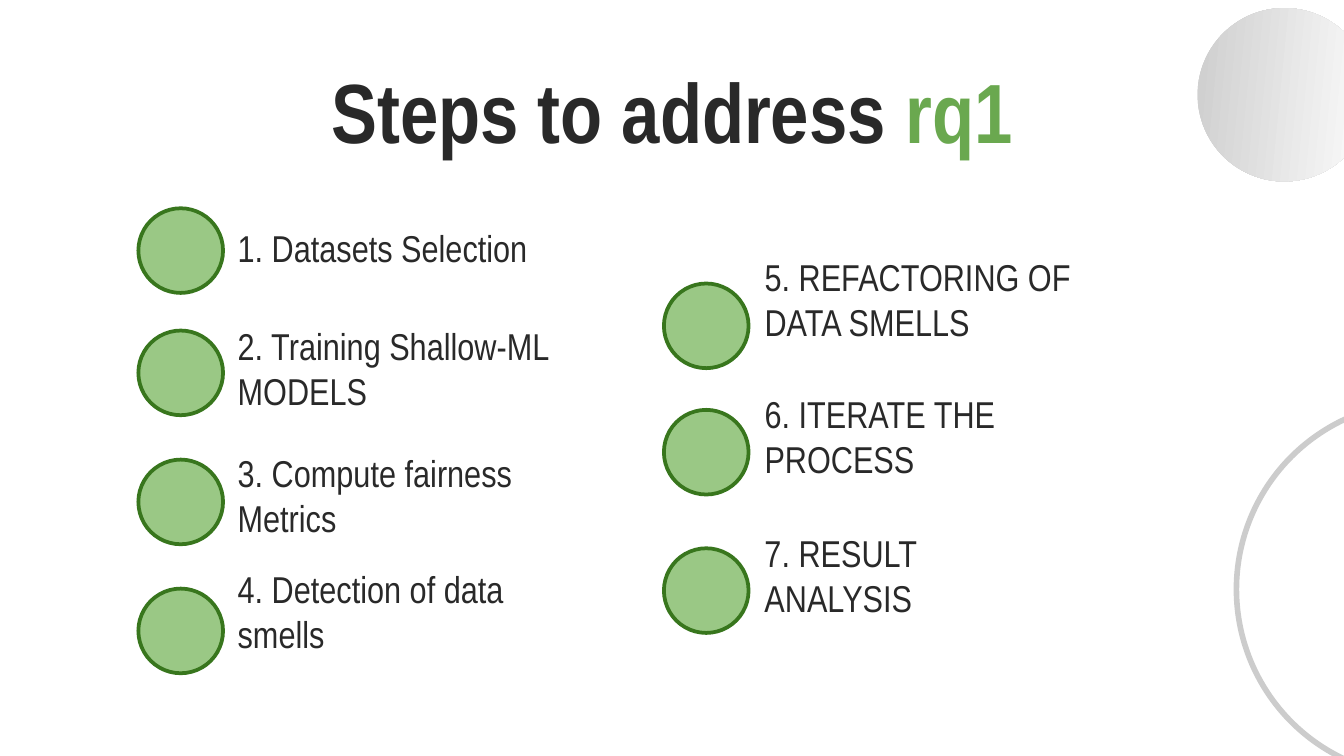
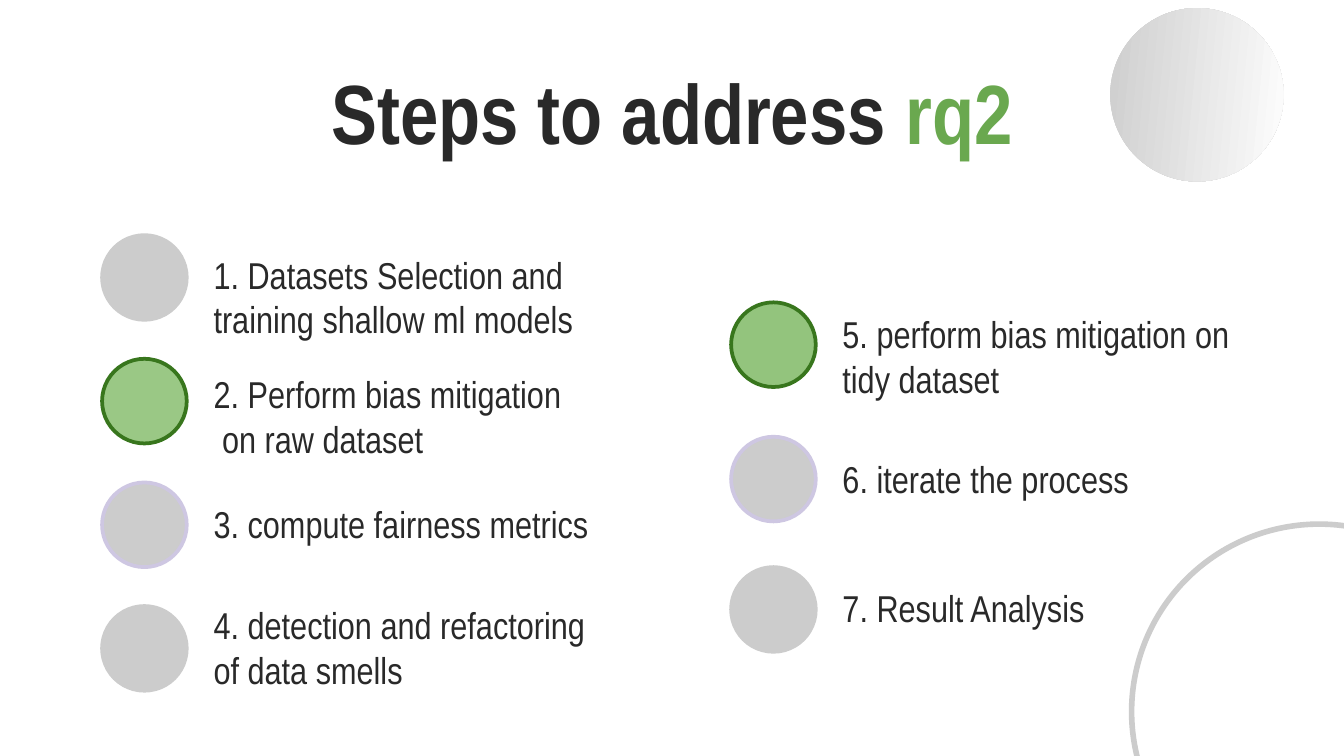
from dataclasses import dataclass

from pptx import Presentation
from pptx.dml.color import RGBColor
from pptx.enum.shapes import MSO_SHAPE as Kind
from pptx.enum.text import MSO_ANCHOR as Anchor, MSO_AUTO_SIZE as Fit, PP_ALIGN as Align
from pptx.shapes.autoshape import Shape
from pptx.slide import Slide
from pptx.text.text import TextFrame, _Paragraph as Para
from pptx.util import Emu, Pt

PX = 9144  # 100 px to the inch
FONT = "Arial Narrow"
WHITE = RGBColor(0xFF, 0xFF, 0xFF)
INK = RGBColor(0x29, 0x29, 0x29)
GRAY = RGBColor(0xCC, 0xCC, 0xCC)
LILAC = RGBColor(0xCE, 0xC7, 0xE2)
LEAF = RGBColor(0x6A, 0xA8, 0x4F)
MINT = RGBColor(0x9A, 0xC8, 0x85)
SAGE = RGBColor(0x93, 0xC4, 0x7D)
PINE = RGBColor(0x38, 0x76, 0x1D)

WIDE, DOT, BALL, RING = 1000, 63, 129, 279


@dataclass(frozen=True)
class Look:
    fill: RGBColor
    line: RGBColor


GREEN = Look(MINT, PINE)
FRESH = Look(SAGE, PINE)
PLAIN = Look(GRAY, GRAY)
EDGED = Look(GRAY, LILAC)


@dataclass(frozen=True)
class Step:
    text: str
    dot_y: int
    top: int
    wide: int
    tall: int = 63
    look: Look = GREEN


@dataclass(frozen=True)
class Column:
    dot_x: int
    text_x: int
    steps: tuple[Step, ...]


@dataclass(frozen=True)
class Page:
    topic: str
    title_y: int
    ball: tuple[int, int]
    ring: tuple[int, int]
    columns: tuple[Column, ...]


PAGES = (
    Page("rq1", 34, (891, 6), (920, 299), (
        Column(103, 167, (
            Step("1. Datasets Selection", 155, 148, 277),
            Step("2. Training Shallow-ML MODELS", 246, 246, 277, 71),
            Step("3. Compute fairness Metrics", 342, 349, 277),
            Step("4. Detection of data smells", 438, 435, 277),
        )),
        Column(494, 559, (
            Step("5. REFACTORING OF DATA SMELLS", 211, 203, 298),
            Step("6. ITERATE THE PROCESS", 305, 305, 249),
            Step("7. RESULT ANALYSIS", 408, 408, 186),
        )),
    )),
    Page("rq2", 35, (826, 6), (842, 390), (
        Column(76, 149, (
            Step("1. Datasets Selection and training shallow ml models",
                 175, 165, 349, 99, PLAIN),
            Step("2. Perform bias mitigation\n on raw dataset", 267, 259, 335, 94),
            Step("3. compute fairness metrics", 359, 353, 398, look=EDGED),
            Step("4. detection and refactoring of data smells",
                 451, 439, 308, 86, PLAIN),
        )),
        Column(544, 617, (
            Step("5. perform bias mitigation on tidy dataset",
                 225, 187, 314, 121, FRESH),
            Step("6. iterate the process", 325, 320, 249, look=EDGED),
            Step("7. Result Analysis", 422, 416, 249, look=PLAIN),
        )),
    )),
)


def px(*sizes: int) -> list[Emu]:
    return [Emu(size * PX) for size in sizes]


def set_frame(frame: TextFrame, anchor: Anchor) -> None:
    frame.word_wrap = True
    frame.auto_size = Fit.NONE
    frame.vertical_anchor = anchor
    (frame.margin_left, frame.margin_top,
     frame.margin_right, frame.margin_bottom) = px(10, 10, 10, 10)


def add_run(para: Para, text: str, size: int, color: RGBColor, bold: bool = False) -> None:
    run = para.add_run()
    run.text = text
    font = run.font
    font.name, font.size, font.bold = FONT, Pt(size), bold
    font.color.rgb = color


def add_title(slide: Slide, page: Page) -> None:
    title = slide.shapes.title
    title.left, title.top, title.width, title.height = px(78, page.title_y, 844, 94)
    set_frame(title.text_frame, Anchor.TOP)
    para = title.text_frame.paragraphs[0]
    para.alignment = Align.CENTER
    add_run(para, "Steps to address ", 45, INK, True)
    add_run(para, page.topic, 45, LEAF, True)


def add_disc(slide: Slide, x: int, y: int, size: int) -> Shape:
    disc = slide.shapes.add_shape(Kind.OVAL, *px(x, y, size, size))
    disc.shadow.inherit = False
    return disc


def set_line(disc: Shape, color: RGBColor, width: int) -> None:
    disc.line.color.rgb = color
    disc.line.width = Pt(width)


def flip(disc: Shape, angle: float) -> None:
    """Mirror the disc left to right and turn it."""
    disc.rotation = angle
    disc.element.spPr.get_or_add_xfrm().set("flipH", "1")


def add_decor(slide: Slide, page: Page) -> None:
    ring = add_disc(slide, *page.ring, RING)
    ring.fill.background()
    set_line(ring, GRAY, 3)
    flip(ring, 17)

    ball = add_disc(slide, *page.ball, BALL)
    ball.fill.gradient()
    ball.fill.gradient_angle = 270
    for stop, color in zip(ball.fill.gradient_stops, (GRAY, WHITE)):
        stop.color.rgb = color
    ball.line.fill.background()
    flip(ball, 275.6)


def add_step(slide: Slide, column: Column, step: Step) -> None:
    dot = add_disc(slide, column.dot_x, step.dot_y, DOT)
    dot.fill.solid()
    dot.fill.fore_color.rgb = step.look.fill
    set_line(dot, step.look.line, 2)

    box = slide.shapes.add_textbox(*px(column.text_x, step.top, step.wide, step.tall))
    frame = box.text_frame
    set_frame(frame, Anchor.BOTTOM)
    for row, text in enumerate(step.text.split("\n")):
        para = frame.add_paragraph() if row else frame.paragraphs[0]
        add_run(para, text, 20, INK)


def main() -> None:
    deck = Presentation()
    deck.slide_width = Emu(WIDE * PX)
    deck.slide_height = Emu(WIDE * PX * 9 // 16)
    for page in PAGES:
        slide = deck.slides.add_slide(deck.slide_layouts[5])
        add_title(slide, page)
        add_decor(slide, page)
        for column in page.columns:
            for step in column.steps:
                add_step(slide, column, step)
    deck.save("out.pptx")


if __name__ == "__main__":
    main()
